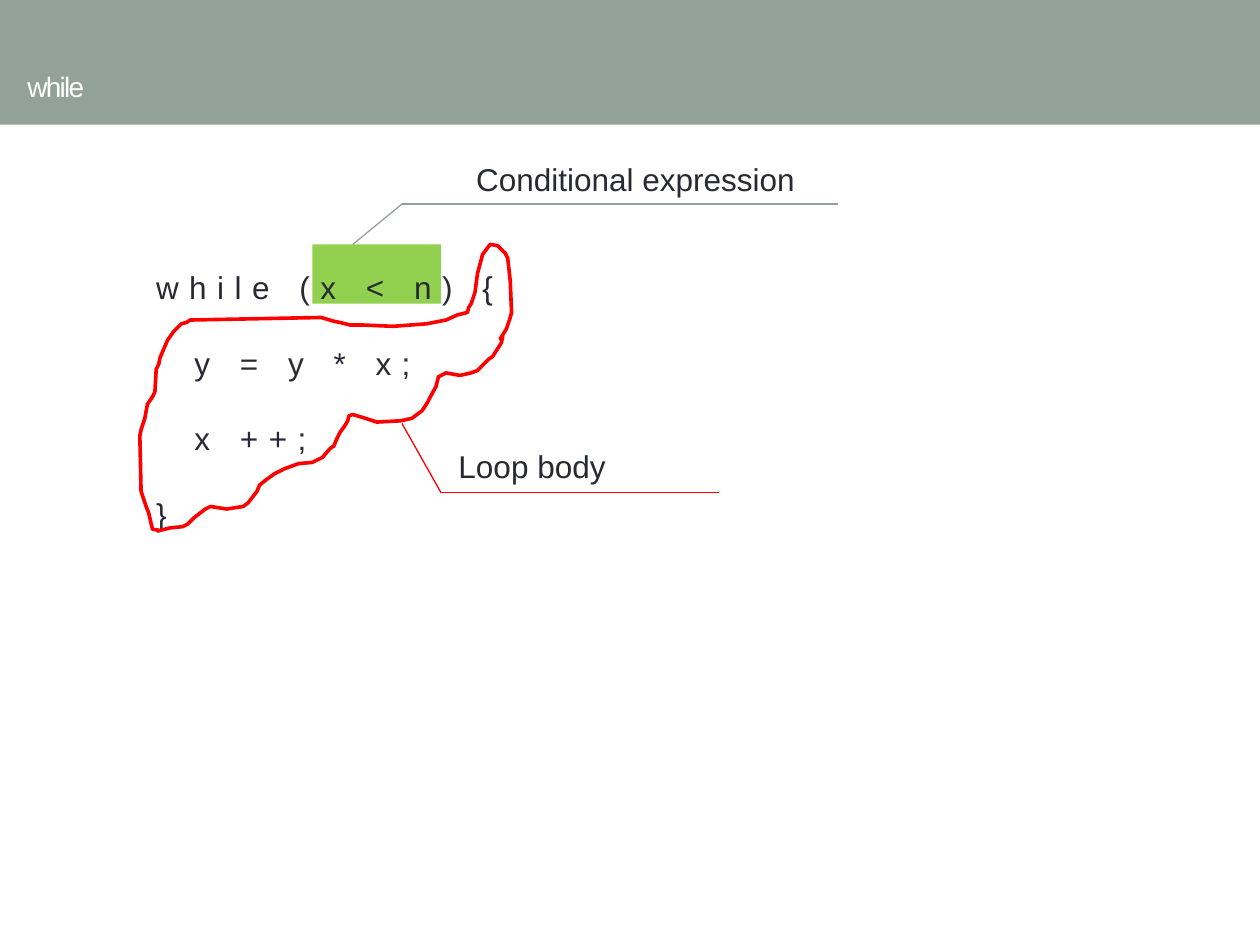
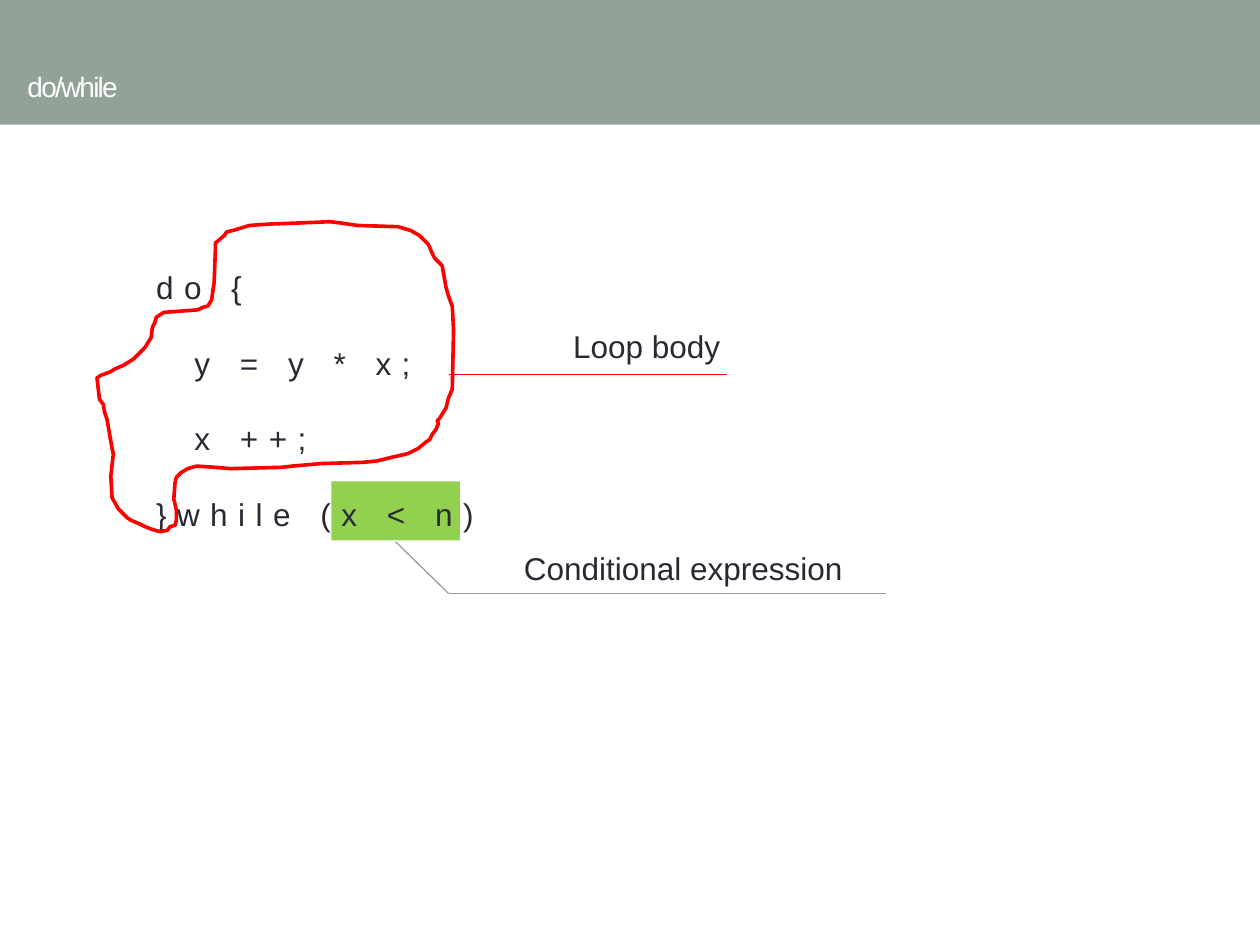
from dataclasses import dataclass

from lxml import etree
from pptx import Presentation
from pptx import util as u
from pptx.dml.color import RGBColor
from pptx.enum import shapes, text
from pptx.oxml.ns import qn


@dataclass(frozen=True)
class Theme:
    font: str = "Arial"
    band: str = "93A299"
    mark: str = "92D050"
    loop: str = "FF0000"
    ink: str = "292934"
    white: str = "FFFFFF"
    title_pt: float = 16
    body_pt: float = 18
    thin_pt: float = 0.75
    thick_pt: float = 2.08


T = Theme()
MARK_SIZE = (1.02, 0.47)
CODE_BOX = (1.14, 1.78, 5, 2.43)
CONDITION, BODY = "Conditional expression", "Loop body"
LABEL_WIDTH = {CONDITION: 2.75, BODY: 1.38}
LABEL_COLOR = {CONDITION: T.band, BODY: T.loop}

# Hand-drawn outlines around the loop bodies, in inches
WHILE_OUTLINE = [
    (3.89, 1.94), (3.83, 2.02), (3.82, 2.06), (3.79, 2.17), (3.77, 2.32), (3.76, 2.35),
    (3.74, 2.41), (3.72, 2.44), (3.71, 2.48), (3.63, 2.5), (3.54, 2.54), (3.44, 2.56),
    (3.39, 2.57), (3.12, 2.59), (2.88, 2.58), (2.78, 2.58), (2.7, 2.56), (2.65, 2.55),
    (2.55, 2.52), (1.51, 2.54), (1.48, 2.56), (1.44, 2.57), (1.38, 2.63), (1.33, 2.7),
    (1.3, 2.77), (1.27, 2.84), (1.26, 2.89), (1.24, 2.93), (1.23, 3.11), (1.21, 3.15),
    (1.17, 3.21), (1.15, 3.32), (1.12, 3.41), (1.11, 3.46), (1.12, 3.9), (1.16, 4.02),
    (1.18, 4.07), (1.21, 4.2), (1.27, 4.21), (1.35, 4.19), (1.45, 4.18), (1.49, 4.16),
    (1.54, 4.11), (1.63, 4.04), (1.67, 4.02), (1.8, 4.04), (1.93, 4.02), (1.97, 3.99),
    (2.04, 3.9), (2.06, 3.85), (2.11, 3.81), (2.18, 3.76), (2.26, 3.72), (2.37, 3.68),
    (2.48, 3.67), (2.56, 3.63), (2.62, 3.56), (2.65, 3.54), (2.67, 3.49), (2.7, 3.43),
    (2.73, 3.39), (2.76, 3.34), (2.77, 3.3), (2.8, 3.29), (2.9, 3.32), (2.99, 3.35),
    (3.18, 3.34), (3.27, 3.32), (3.35, 3.26), (3.39, 3.2), (3.41, 3.16), (3.46, 3.07),
    (3.48, 2.99), (3.54, 2.96), (3.65, 2.98), (3.74, 2.96), (3.79, 2.94), (3.88, 2.85),
    (3.91, 2.83), (3.98, 2.72), (3.99, 2.67), (3.97, 2.69), (4.02, 2.61), (4.05, 2.52),
    (4.06, 2.48), (4.05, 2.23), (4.03, 2.05), (4.01, 2.01), (3.95, 1.95),
]
DO_OUTLINE = [
    (1.71, 1.98), (1.7, 2.24), (1.68, 2.38), (1.65, 2.43), (1.61, 2.44), (1.57, 2.46),
    (1.3, 2.48), (1.24, 2.52), (1.23, 2.56), (1.21, 2.6), (1.2, 2.68), (1.15, 2.76),
    (1.06, 2.85), (0.98, 2.9), (0.91, 2.93), (0.88, 2.95), (0.8, 2.98), (0.77, 3),
    (0.79, 3.17), (0.82, 3.21), (0.83, 3.27), (0.85, 3.33), (0.89, 3.56), (0.9, 3.6),
    (0.88, 3.78), (0.89, 3.95), (0.94, 4.04), (1.01, 4.11), (1.04, 4.13), (1.11, 4.16),
    (1.15, 4.18), (1.2, 4.2), (1.27, 4.22), (1.33, 4.21), (1.35, 4.18), (1.39, 4.17),
    (1.4, 4.13), (1.4, 4.05), (1.38, 3.96), (1.39, 3.83), (1.4, 3.79), (1.44, 3.75),
    (1.49, 3.72), (1.56, 3.7), (1.71, 3.71), (1.83, 3.72), (2.23, 3.71), (2.32, 3.7),
    (2.55, 3.68), (2.88, 3.67), (2.99, 3.66), (3.11, 3.63), (3.2, 3.61), (3.24, 3.6),
    (3.32, 3.56), (3.38, 3.51), (3.41, 3.49), (3.43, 3.45), (3.46, 3.41), (3.48, 3.36),
    (3.47, 3.34), (3.49, 3.32), (3.54, 3.24), (3.56, 3.16), (3.59, 3.09), (3.6, 2.62),
    (3.59, 2.43), (3.56, 2.35), (3.54, 2.28), (3.51, 2.11), (3.45, 2.05), (3.43, 2.01),
    (3.4, 1.94), (3.33, 1.87), (3.26, 1.83), (3.16, 1.8), (2.84, 1.79), (2.7, 1.77),
    (2.62, 1.76), (2.38, 1.77), (2.12, 1.78), (1.98, 1.79), (1.85, 1.83), (1.8, 1.84),
    (1.78, 1.87), (1.71, 1.93),
]

# Each callout: label, label position, points of its leader line
SLIDES = [
    dict(title="while",
         code=["while (x < n) {", "  y = y * x;", "  x ++;", "}"],
         mark=(2.48, 1.94),
         outline=WHILE_OUTLINE,
         callouts=[
             (CONDITION, (3.68, 1.22), [(2.8, 1.94), (3.19, 1.62), (6.65, 1.62)]),
             (BODY, (3.54, 3.5), [(3.19, 3.36), (3.5, 3.91), (5.71, 3.91)])]),
    dict(title="do/while",
         code=["do {", "  y = y * x;", "  x ++;", "}while (x < n)"],
         mark=(2.63, 3.82),
         outline=DO_OUTLINE,
         callouts=[
             (CONDITION, (4.06, 4.31), [(3.14, 4.3), (3.56, 4.71), (7.03, 4.71)]),
             (BODY, (4.45, 2.55), [(3.56, 2.97), (5.77, 2.97)])]),
]


def cm(*inches):
    return [u.Cm(2.54 * v) for v in inches]


def rgb(color):
    return RGBColor.from_string(color)


def add_box(s, box, color):
    sp = s.shapes.add_shape(shapes.MSO_SHAPE.RECTANGLE, *cm(*box))
    sp.shadow.inherit = False
    sp.fill.solid()
    sp.fill.fore_color.rgb = rgb(color)
    sp.line.fill.background()


def add_text(s, box, lines, size=T.body_pt, color=T.ink, wrap=True, spacing=None, tracking=0):
    """Add a text box; tracking is the space between letters in points."""
    tf = s.shapes.add_textbox(*cm(*box)).text_frame
    tf.word_wrap = wrap
    tf.text = "\n".join(lines)
    for p in tf.paragraphs:
        p.line_spacing = spacing
        for r in p.runs:
            r.font.name = T.font
            r.font.size = u.Pt(size)
            r.font.color.rgb = rgb(color)
            if tracking:
                r.font._element.set("spc", str(tracking * 100))
    return tf


def add_leader(s, points, color):
    for start, end in zip(points, points[1:]):
        ln = s.shapes.add_connector(shapes.MSO_CONNECTOR.STRAIGHT, *cm(*start, *end))
        ln.line.color.rgb = rgb(color)
        ln.line.width = u.Pt(T.thin_pt)
        etree.SubElement(ln._element.spPr, qn("a:effectLst"))


def add_outline(s, points):
    pts = [cm(*pt) for pt in points]
    fb = s.shapes.build_freeform(*pts[0])
    fb.add_line_segments(pts[1:], close=True)
    sp = fb.convert_to_shape()
    sp.shadow.inherit = False
    sp.fill.background()
    sp.line.color.rgb = rgb(T.loop)
    sp.line.width = u.Pt(T.thick_pt)


def add_slide(prs, title, code, mark, outline, callouts):
    s = prs.slides.add_slide(prs.slide_layouts[6])

    # Title band
    add_box(s, (0, 0, 10, 0.99), T.band)
    tf = add_text(s, (0.12, 0.37, 9.76, 0.63), [title], T.title_pt, T.white, tracking=-1)
    tf.vertical_anchor = text.MSO_ANCHOR.MIDDLE

    # Code with its condition marked and its body circled
    add_box(s, mark + MARK_SIZE, T.mark)
    add_text(s, CODE_BOX, code, spacing=2.0, tracking=6)
    add_outline(s, outline)

    # Callouts
    for label, place, points in callouts:
        add_leader(s, points, LABEL_COLOR[label])
        add_text(s, place + (LABEL_WIDTH[label], 0.4), [label], wrap=False)


def main():
    prs = Presentation()
    prs.slide_width, prs.slide_height = cm(10, 7.5)
    for content in SLIDES:
        add_slide(prs, **content)
    prs.save("out.pptx")


if __name__ == "__main__":
    main()
